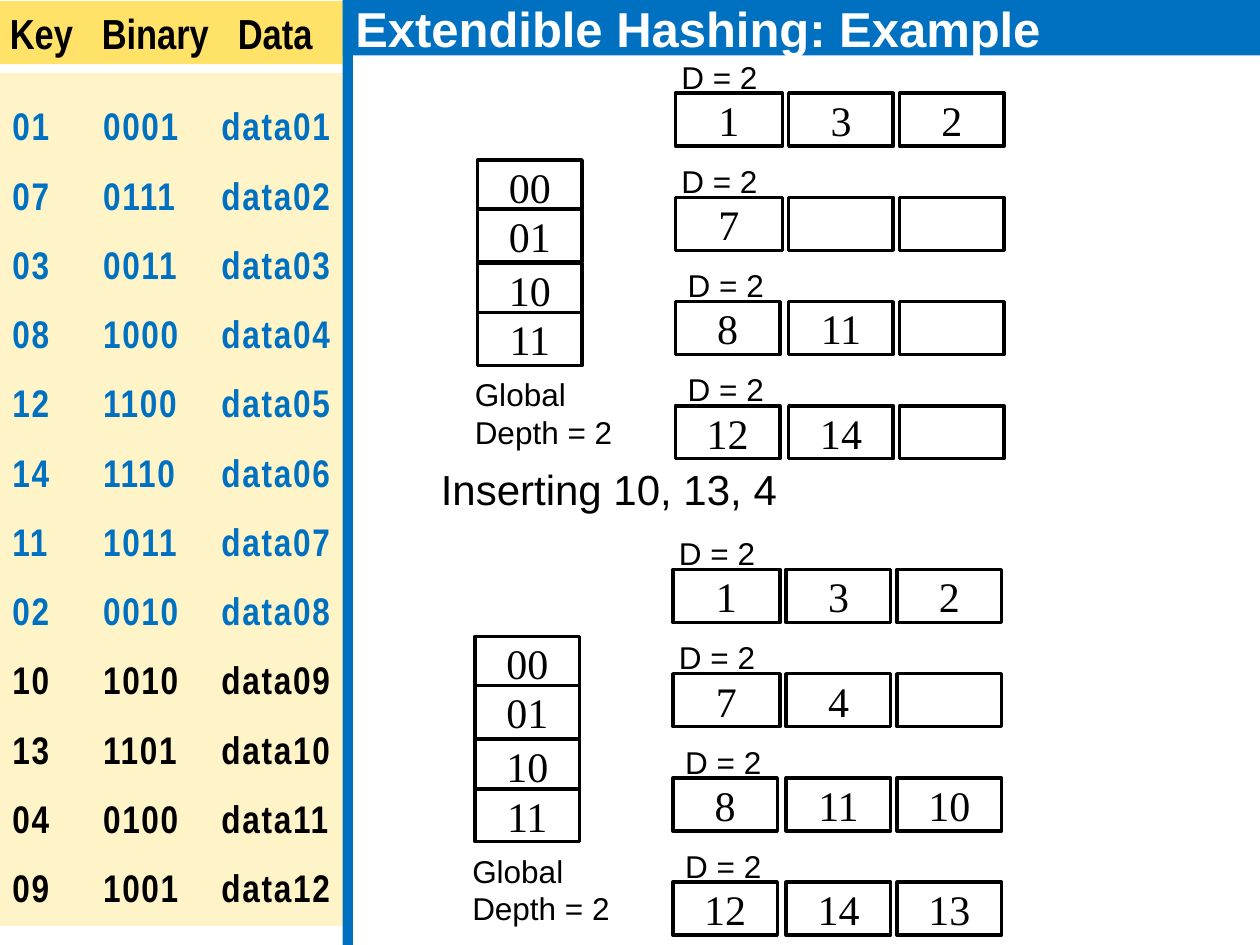
import dataclasses
import typing

import lxml.etree
import pptx
import pptx.dml.color
import pptx.enum.shapes
import pptx.enum.text
import pptx.oxml.ns
import pptx.util

COLORS = {"blue": "0070C0", "cream": "FFF4C8", "gold": "FFE267", "white": "FFFFFF", "black": "000000"}
FORMATS = {
    "title": {"name": "Arial", "size": pptx.util.Pt(28), "bold": True},
    "header": {"name": "Arial Narrow", "size": pptx.util.Pt(24), "bold": True},
    "record": {"name": "Arial Narrow", "size": pptx.util.Pt(22), "bold": True},
    "cell": {"name": "Times New Roman", "size": pptx.util.Pt(24), "bold": False},
    "step": {"name": "Arial", "size": pptx.util.Pt(24), "bold": False},
    "label": {"name": "Arial", "size": pptx.util.Pt(18), "bold": False},
}
ALIGN = pptx.enum.text.PP_ALIGN
ANCHOR = pptx.enum.text.MSO_ANCHOR
AUTO_SIZE = pptx.enum.text.MSO_AUTO_SIZE

SLIDE_WIDTH, SLIDE_HEIGHT = pptx.util.Inches(10), pptx.util.Inches(7.5)
COLUMN, ROW = SLIDE_WIDTH / 100, SLIDE_HEIGHT / 75
CELL_WIDTH, CELL_HEIGHT = 8.3, 4.2
DIRECTORY_ROWS = {"00": 12.7, "01": 16.6, "10": 20.9, "11": 24.8}
BUCKET_COLUMNS = (53.6, 62.6, 71.4)
BUCKET_TOP, BUCKET_PITCH = 7.4, 8.27


@dataclasses.dataclass
class Box:
    column: float
    row: float
    columns: float
    rows: float

    def place(self) -> dict[str, int]:
        return {"left": round(self.column * COLUMN), "top": round(self.row * ROW),
                "width": round(self.columns * COLUMN), "height": round(self.rows * ROW)}


@dataclasses.dataclass
class Record:
    key: str
    binary: str
    data: str
    color: str = "blue"


@dataclasses.dataclass
class HashTable:
    column: float
    row: float
    buckets: list[list[str]]


RECORDS = [
    Record("01", "0001", "data01"), Record("07", "0111", "data02"),
    Record("03", "0011", "data03"), Record("08", "1000", "data04"),
    Record("12", "1100", "data05"), Record("14", "1110", "data06"),
    Record("11", "1011", "data07"), Record("02", "0010", "data08"),
    Record("10", "1010", "data09", "black"), Record("13", "1101", "data10", "black"),
    Record("04", "0100", "data11", "black"), Record("09", "1001", "data12", "black"),
]
HEADER = Record("Key", "Binary", "Data", "black")
BEFORE = HashTable(0, 0, [["1", "3", "2"], ["7", "", ""], ["8", "11", ""], ["12", "14", ""]])
AFTER = HashTable(-0.2, 37.8, [["1", "3", "2"], ["7", "4", ""], ["8", "11", "10"], ["12", "14", "13"]])


def color(name: str) -> pptx.dml.color.RGBColor:
    return pptx.dml.color.RGBColor.from_string(COLORS[name])


def write(paragraph: typing.Any, text: str, style: str, color_name: str, alignment: int) -> typing.Any:
    paragraph.alignment = alignment
    run = paragraph.add_run()
    run.text = text
    for attribute, value in FORMATS[style].items():
        setattr(run.font, attribute, value)
    run.font.color.rgb = color(color_name)
    return run


def add_rectangle(slide: typing.Any, box: Box, fill: str, outline: str = "") -> typing.Any:
    shape = slide.shapes.add_shape(pptx.enum.shapes.MSO_SHAPE.RECTANGLE, **box.place())
    shape.shadow.inherit = False
    shape.fill.solid()
    shape.fill.fore_color.rgb = color(fill)
    if outline:
        shape.line.color.rgb = color(outline)
        shape.line.width = pptx.util.Pt(2)
    else:
        shape.line.fill.background()
    return shape


def add_cell(slide: typing.Any, box: Box, text: str) -> None:
    shape = add_rectangle(slide, box, "white", "black")
    if text:
        shape.text_frame.word_wrap = False
        shape.text_frame.vertical_anchor = ANCHOR.MIDDLE
        write(shape.text_frame.paragraphs[0], text, "cell", "black", ALIGN.CENTER)


def add_label(slide: typing.Any, box: Box, text: str, style: str = "label") -> None:
    frame = slide.shapes.add_textbox(**box.place()).text_frame
    frame.word_wrap = True
    frame.auto_size = AUTO_SIZE.SHAPE_TO_FIT_TEXT
    write(frame.paragraphs[0], text, style, "black", ALIGN.JUSTIFY)


def add_records(slide: typing.Any, box: Box, fill: str, records: list[Record], style: str,
                tabs: tuple[float, ...], line_spacing: float, letter_spacing: int) -> None:
    frame = add_rectangle(slide, box, fill).text_frame
    frame.word_wrap = True
    frame.vertical_anchor = ANCHOR.TOP
    frame.auto_size = AUTO_SIZE.SHAPE_TO_FIT_TEXT
    for index, record in enumerate(records):
        paragraph = frame.add_paragraph() if index else frame.paragraphs[0]
        paragraph.line_spacing = line_spacing
        properties = paragraph._p.get_or_add_pPr()
        tab_list = lxml.etree.SubElement(properties, pptx.oxml.ns.qn("a:tabLst"))
        for tab in tabs:
            lxml.etree.SubElement(tab_list, pptx.oxml.ns.qn("a:tab"), pos=str(round(tab * COLUMN)), algn="l")
        text = "\t".join((record.key, record.binary, record.data))
        run = write(paragraph, text, style, record.color, ALIGN.LEFT)
        run.font._element.set("spc", str(letter_spacing))


def add_hash_table(slide: typing.Any, table: HashTable) -> None:
    for text, row in DIRECTORY_ROWS.items():
        add_cell(slide, Box(table.column + 37.9, table.row + row, CELL_WIDTH, CELL_HEIGHT), text)
    add_label(slide, Box(table.column + 36.7, table.row + 29.3, 15.3, 7.1), "Global Depth = 2")
    for index, bucket in enumerate(table.buckets):
        row = table.row + BUCKET_TOP + index * BUCKET_PITCH
        upper = index < 2
        for position, (column, text) in enumerate(zip(BUCKET_COLUMNS, bucket)):
            width = CELL_WIDTH + (0.2 if upper and position == 0 else 0)
            add_cell(slide, Box(table.column + column, row, width, CELL_HEIGHT), text)
        label_column = table.column + BUCKET_COLUMNS[0] - (0.5 if upper else 0)
        add_label(slide, Box(label_column, row - 3.3, 9.7, 4), "D = 2")


def add_title(slide: typing.Any, box: Box, text: str) -> None:
    title = slide.shapes.title
    for attribute, value in box.place().items():
        setattr(title, attribute, value)
    title.fill.solid()
    title.fill.fore_color.rgb = color("blue")
    title.text_frame.auto_size = AUTO_SIZE.NONE
    title.text_frame.vertical_anchor = ANCHOR.MIDDLE
    write(title.text_frame.paragraphs[0], text, "title", "white", ALIGN.LEFT)


def main() -> None:
    presentation = pptx.Presentation()
    presentation.slide_width, presentation.slide_height = SLIDE_WIDTH, SLIDE_HEIGHT
    slide = presentation.slides.add_slide(presentation.slide_layouts[5])
    add_title(slide, Box(27.2, 0, 72.8, 4.4), "Extendible Hashing: Example")
    add_records(slide, Box(0, 5.8, 27.6, 67.7), "cream", RECORDS, "record", (7.2, 16.6), 1.5, 100)
    add_records(slide, Box(-0.2, 0.1, 27.4, 5), "gold", [HEADER], "header", (7.3, 18.1), 1.0, 0)
    add_rectangle(slide, Box(27.2, 0.1, 0.8, 75), "blue")
    add_label(slide, Box(34, 36.3, 65.1, 5), "Inserting 10, 13, 4", "step")
    for table in (AFTER, BEFORE):
        add_hash_table(slide, table)
    presentation.save("out.pptx")


if __name__ == "__main__":
    main()
